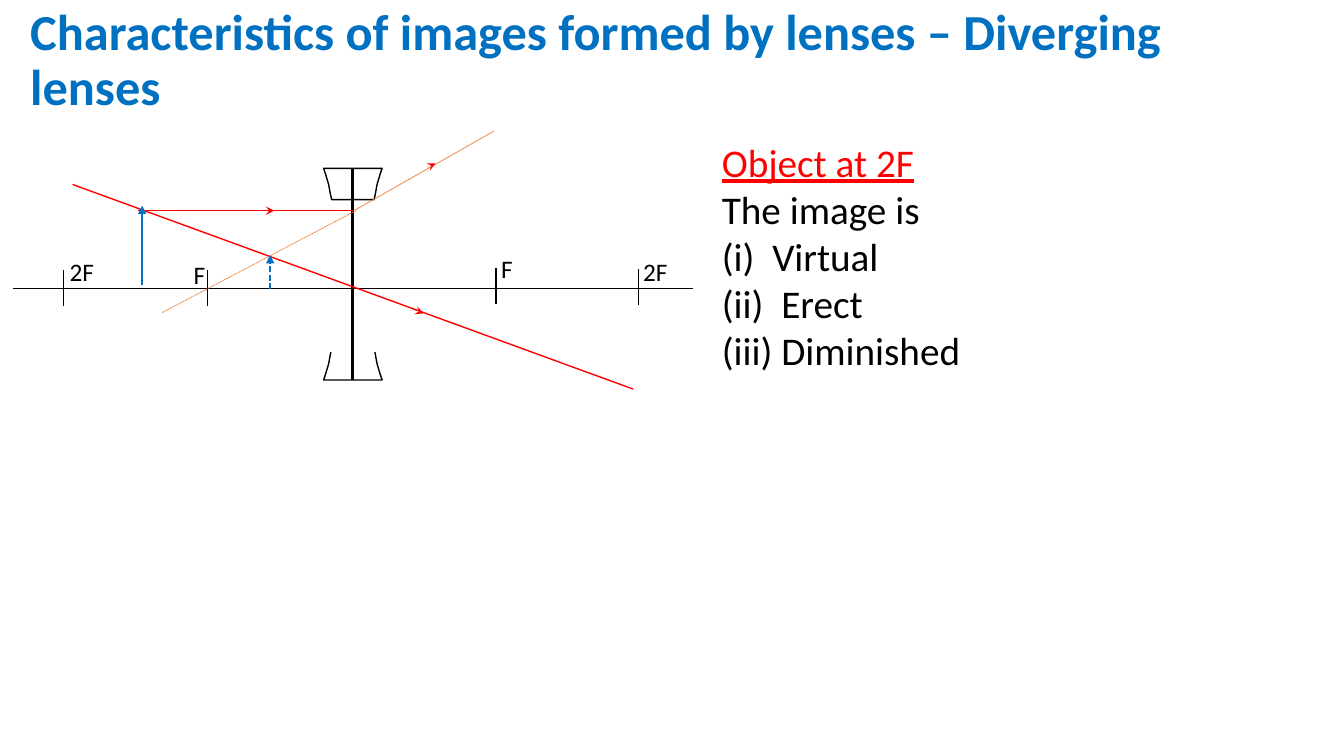
from dataclasses import dataclass

from lxml.etree import SubElement
from pptx import Presentation
from pptx.dml.color import RGBColor as RGB
from pptx.enum.dml import MSO_LINE_DASH_STYLE as DASH
from pptx.enum.shapes import MSO_CONNECTOR as CONN, MSO_SHAPE as SHAPE
from pptx.enum.text import MSO_ANCHOR, MSO_AUTO_SIZE as AUTO, PP_ALIGN
from pptx.oxml.ns import qn
from pptx.util import Inches, Pt


@dataclass(frozen=True)
class Theme:
    font: str = "Calibri"
    ink: str = "000000"
    paper: str = "FFFFFF"
    blue: str = "0070C0"
    red: str = "FF0000"
    orange: str = "ED7D31"
    title: int = 36
    body: int = 28
    label: int = 18


class Diagram:
    def __init__(self, slide, theme):
        self.slide, self.theme = slide, theme
        self.shapes = slide.shapes

    def start_group(self):
        self.shapes = self.slide.shapes.add_group_shape().shapes

    def end_group(self):
        self.shapes = self.slide.shapes

    def run(self, p, text, size, color, bold=False, underline=False):
        r = p.add_run()
        r.text = text
        r.font.name, r.font.size = self.theme.font, Pt(size)
        r.font.color.rgb = RGB.from_string(color)
        r.font.bold, r.font.underline = bold, underline

    def title(self, text, x, y, w, h):
        s = self.slide.shapes.title
        s.left, s.top, s.width, s.height = map(Inches, (x, y, w, h))
        tf = s.text_frame
        tf.word_wrap, tf.auto_size = True, AUTO.NONE
        tf.vertical_anchor = MSO_ANCHOR.MIDDLE
        p = tf.paragraphs[0]
        p.alignment, p.line_spacing = PP_ALIGN.LEFT, 0.9
        self.run(p, text, self.theme.title, self.theme.blue, bold=True)

    def text(self, x, y, w, h):
        tf = self.shapes.add_textbox(*map(Inches, (x, y, w, h))).text_frame
        tf.word_wrap, tf.auto_size = True, AUTO.SHAPE_TO_FIT_TEXT
        tf.margin_left = tf.margin_right = tf.margin_top = tf.margin_bottom = 0
        return tf

    def label(self, text, x, y):
        p = self.text(x, y, 0.33, 0.3).paragraphs[0]
        self.run(p, text, self.theme.label, self.theme.ink)

    def tab_stop(self, p, x):
        tabs = SubElement(p._p.get_or_add_pPr(), qn("a:tabLst"))
        SubElement(tabs, qn("a:tab"), pos=str(Inches(x)), algn="l")

    def line(self, start, end, color, width=1, head=None, dashed=False):
        s = self.shapes.add_connector(CONN.STRAIGHT, *map(Inches, (*start, *end)))
        s.line.color.rgb, s.line.width = RGB.from_string(color), Pt(width)
        if dashed:
            s.line.dash_style = DASH.SQUARE_DOT
        sp_pr = s._element.spPr
        if head:
            SubElement(sp_pr.find(qn("a:ln")), qn("a:tailEnd"), type=head)
        SubElement(sp_pr, qn("a:effectLst"))

    def outline(self, points):
        scaled = [(Inches(x), Inches(y)) for x, y in points]
        builder = self.shapes.build_freeform(*scaled[0], scale=1.0)
        builder.add_line_segments(scaled[1:], close=True)
        s = builder.convert_to_shape()
        s.shadow.inherit = False
        s.fill.background()
        s.line.color.rgb, s.line.width = RGB.from_string(self.theme.ink), Pt(1)

    def mask(self, x, y, w, h):
        s = self.shapes.add_shape(SHAPE.RECTANGLE, *map(Inches, (x, y, w, h)))
        s.shadow.inherit = False
        s.fill.solid()
        s.fill.fore_color.rgb = RGB.from_string(self.theme.paper)
        s.line.fill.background()


def main():
    prs = Presentation()
    prs.slide_width, prs.slide_height = Inches(13.33), Inches(7.5)
    t = Theme()
    d = Diagram(prs.slides.add_slide(prs.slide_layouts[5]), t)
    d.title("Characteristics of images formed by lenses – Diverging lenses",
            0.2, 0.16, 12.74, 0.9)

    # Image properties
    tf = d.text(7.16, 1.37, 5.93, 2.36)
    d.run(tf.paragraphs[0], "Object at 2F", t.body, t.red, underline=True)
    d.run(tf.add_paragraph(), "The image is", t.body, t.ink)
    for number, quality, stop in (("(i)", "Virtual", 0.5), ("(ii)", "Erect", 0.59),
                                  ("(iii)", "Diminished", 0.59)):
        p = tf.add_paragraph()
        d.tab_stop(p, stop)
        d.run(p, f"{number}\t{quality}", t.body, t.ink)

    # Principal axis with focal marks
    axis_y, lens_x = 2.86, 3.5
    d.line((0.13, axis_y), (6.87, axis_y), t.ink)
    for name, x, top, label_x, label_y in (
            ("2F", 0.63, 2.68, 0.69, 2.54), ("F", 2.06, 2.68, 1.92, 2.57),
            ("F", 4.92, 2.66, 4.97, 2.51), ("2F", 6.33, 2.67, 6.38, 2.54)):
        d.line((x, top), (x, top + 0.36), t.ink)
        d.label(name, label_x, label_y)

    # Lens: two mirrored ends, the lower one open at its inner edge
    lens_top, lens_bottom = 1.67, 3.77
    half_profile = [(0.29, 0), (0.27, 0.06), (0.24, 0.16), (0.22, 0.27), (0.21, 0.31)]
    profile = half_profile + [(-x, y) for x, y in reversed(half_profile)]
    d.start_group()
    for edge, direction in ((lens_top, 1), (lens_bottom, -1)):
        d.outline([(lens_x + x, edge + direction * y) for x, y in profile])
    d.mask(3.21, 3.44, 0.59, 0.05)
    d.line((lens_x, lens_top), (lens_x, lens_bottom), t.ink, 2.25)
    d.end_group()

    # Rays
    ray_y = 2.09
    d.line((0.72, 1.83), (6.28, 3.86), t.red)
    d.line((1.37, ray_y), (3.51, ray_y), t.red)
    d.line((3.51, ray_y), (4.9, 1.3), t.orange, 0.5)
    d.line((1.61, 3.1), (3.53, ray_y), t.orange, 0.5, dashed=True)

    # Ray directions
    for start, end in (((2.57, ray_y), (2.72, ray_y)), ((4.24, 1.66), (4.32, 1.62)),
                       ((4.08, 3.06), (4.2, 3.11))):
        d.line(start, end, t.red, 0.25, head="stealth")

    # Object and virtual image
    d.line((1.41, 2.83), (1.41, 2.04), t.blue, 1.5, head="triangle")
    d.line((2.68, 2.87), (2.68, 2.53), t.blue, 1.5, head="triangle", dashed=True)

    prs.save("out.pptx")


if __name__ == "__main__":
    main()
